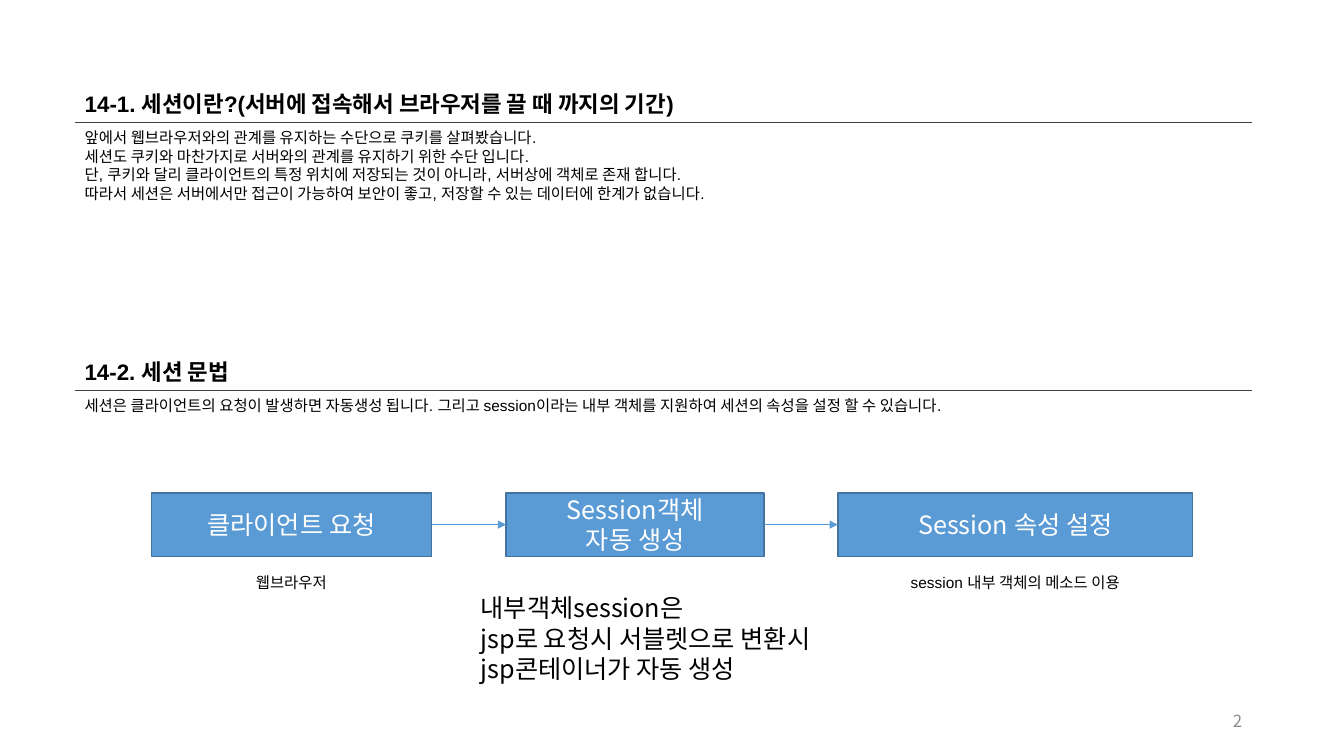
from dataclasses import dataclass
from itertools import pairwise

from lxml.etree import SubElement
from pptx import Presentation
from pptx.dml.color import RGBColor
from pptx.enum.shapes import MSO_CONNECTOR as Connector, MSO_SHAPE as Shape
from pptx.enum.text import MSO_ANCHOR as Anchor, MSO_AUTO_SIZE as AutoSize, PP_ALIGN as Align
from pptx.oxml.ns import qn
from pptx.util import Inches, Pt


@dataclass(frozen=True)
class Theme:
    black: str = "000000"
    white: str = "FFFFFF"
    grey: str = "8C8C8C"
    rule: str = "404040"
    box: str = "5B9BD5"
    box_edge: str = "43739E"
    latin: str = "Arial"
    korean: str = "Noto Sans CJK KR"
    heading: int = 16
    body: int = 11
    diagram: int = 18
    number: int = 12


THEME = Theme()


def write(shape, paragraphs, size=THEME.body, font=THEME.latin, color=THEME.black,
          bold=False, align=Align.LEFT, anchor=Anchor.TOP, wrap=True, fit=AutoSize.SHAPE_TO_FIT_TEXT):
    """Fill a shape with paragraphs; a newline inside one is a line break."""
    frame = shape.text_frame
    frame.word_wrap, frame.vertical_anchor, frame.auto_size = wrap, anchor, fit
    for index, text in enumerate(paragraphs):
        paragraph = frame.add_paragraph() if index else frame.paragraphs[0]
        paragraph.text = text
        paragraph.alignment = align
        paragraph.space_before = Pt(0)
        if shape.is_placeholder:
            properties = paragraph._p.get_or_add_pPr()
            properties.set("marL", "0")
            properties.set("indent", "0")
            SubElement(properties, qn("a:buNone"))
        for run in paragraph.runs:
            run.font.size, run.font.bold, run.font.name = Pt(size), bold, font
            run.font.color.rgb = RGBColor.from_string(color)
            SubElement(run._r.get_or_add_rPr(), qn("a:ea")).set("typeface", THEME.korean)


class SlideBuilder:
    """Places elements on a slide; lengths are percentages of its size."""

    LEFT, WIDTH = 5.55, 87.62
    HEADING_HEIGHT, LINE_HEIGHT = 4.93, 3.87

    def __init__(self, presentation, theme):
        self.theme = theme
        self.across = presentation.slide_width / 100
        self.down = presentation.slide_height / 100
        self.slide = presentation.slides.add_slide(presentation.slide_layouts[1])

    def area(self, left, top, width, height):
        return (round(left * self.across), round(top * self.down),
                round(width * self.across), round(height * self.down))

    def text(self, left, top, width, height, paragraphs, holder=None, **style):
        area = self.area(left, top, width, height)
        if holder is None:
            holder = self.slide.shapes.add_textbox(*area)
        else:
            holder.left, holder.top, holder.width, holder.height = area
        write(holder, paragraphs, **style)

    def line(self, color, width, start=(0, 0), end=(0, 0)):
        connector = self.slide.shapes.add_connector(
            Connector.STRAIGHT, *self.area(*start, *end))
        connector.line.color.rgb = RGBColor.from_string(color)
        connector.line.width = Pt(width)
        SubElement(connector._element.spPr, qn("a:effectLst"))
        return connector

    def section(self, top, heading, paragraphs, title=None, body=None):
        rule = top + self.HEADING_HEIGHT
        self.text(self.LEFT, top, self.WIDTH, self.HEADING_HEIGHT, [heading], title,
                  size=self.theme.heading, bold=True)
        self.line(self.theme.rule, 1, (self.LEFT, rule), (self.LEFT + self.WIDTH, rule))
        self.text(self.LEFT, rule + 0.1, self.WIDTH, self.LINE_HEIGHT * 0.73 * len(paragraphs) + 1,
                  paragraphs, body)

    def box(self, left, top, width, height, paragraphs, caption=None):
        box = self.slide.shapes.add_shape(Shape.RECTANGLE, *self.area(left, top, width, height))
        box.shadow.inherit = False
        box.fill.solid()
        box.fill.fore_color.rgb = RGBColor.from_string(self.theme.box)
        box.line.color.rgb = RGBColor.from_string(self.theme.box_edge)
        box.line.width = Pt(1)
        write(box, paragraphs, size=self.theme.diagram, font=self.theme.korean,
              color=self.theme.white, align=Align.CENTER, anchor=Anchor.MIDDLE, fit=AutoSize.NONE)
        if caption:
            self.text(left, top + 10, width, self.LINE_HEIGHT, [caption], align=Align.CENTER)
        return box

    def arrow(self, source, target):
        """Join the right side of one box to the left side of the next."""
        arrow = self.line(self.theme.box, 0.5)
        arrow.begin_connect(source, 3)
        arrow.end_connect(target, 1)
        SubElement(arrow.line._get_or_add_ln(), qn("a:tailEnd")).set("type", "triangle")


def main():
    presentation = Presentation()
    presentation.slide_width, presentation.slide_height = Inches(13.33), Inches(7.5)
    builder = SlideBuilder(presentation, THEME)
    title, body = builder.slide.placeholders

    builder.section(11.3, "14-1. 세션이란?(서버에 접속해서 브라우저를 끌 때 까지의 기간)", [
        "앞에서 웹브라우저와의 관계를 유지하는 수단으로 쿠키를 살펴봤습니다.",
        "세션도 쿠키와 마찬가지로 서버와의 관계를 유지하기 위한 수단 입니다.",
        "단, 쿠키와 달리 클라이언트의 특정 위치에 저장되는 것이 아니라, 서버상에 객체로 존재 합니다.",
        "따라서 세션은 서버에서만 접근이 가능하여 보안이 좋고, 저장할 수 있는 데이터에 한계가 없습니다.",
    ], title, body)
    builder.section(46.7, "14-2. 세션 문법", [
        "세션은 클라이언트의 요청이 발생하면 자동생성 됩니다. "
        "그리고 session이라는 내부 객체를 지원하여 세션의 속성을 설정 할 수 있습니다.",
    ])

    steps = [
        (11.25, 20.86, ["클라이언트 요청"], "웹브라우저"),
        (37.66, 19.2, ["Session객체", "자동 생성"], None),
        (62.34, 26.41, ["Session 속성 설정"], "session 내부 객체의 메소드 이용"),
    ]
    boxes = [builder.box(left, 65.2, width, 8.4, label, caption)
             for left, width, label, caption in steps]
    for source, target in pairwise(boxes):
        builder.arrow(source, target)

    builder.text(35.03, 77.73, 28.66, 13.47,
                 ["내부객체session은\njsp로 요청시 서블렛으로 변환시\njsp콘테이너가 자동 생성"],
                 size=THEME.diagram, font=THEME.korean, wrap=False)
    builder.text(70.67, 92.67, 22.5, 5.33, ["2"], size=THEME.number, font=THEME.korean,
                 color=THEME.grey, align=Align.RIGHT, anchor=Anchor.MIDDLE, fit=AutoSize.NONE)
    presentation.save("out.pptx")


if __name__ == "__main__":
    main()
